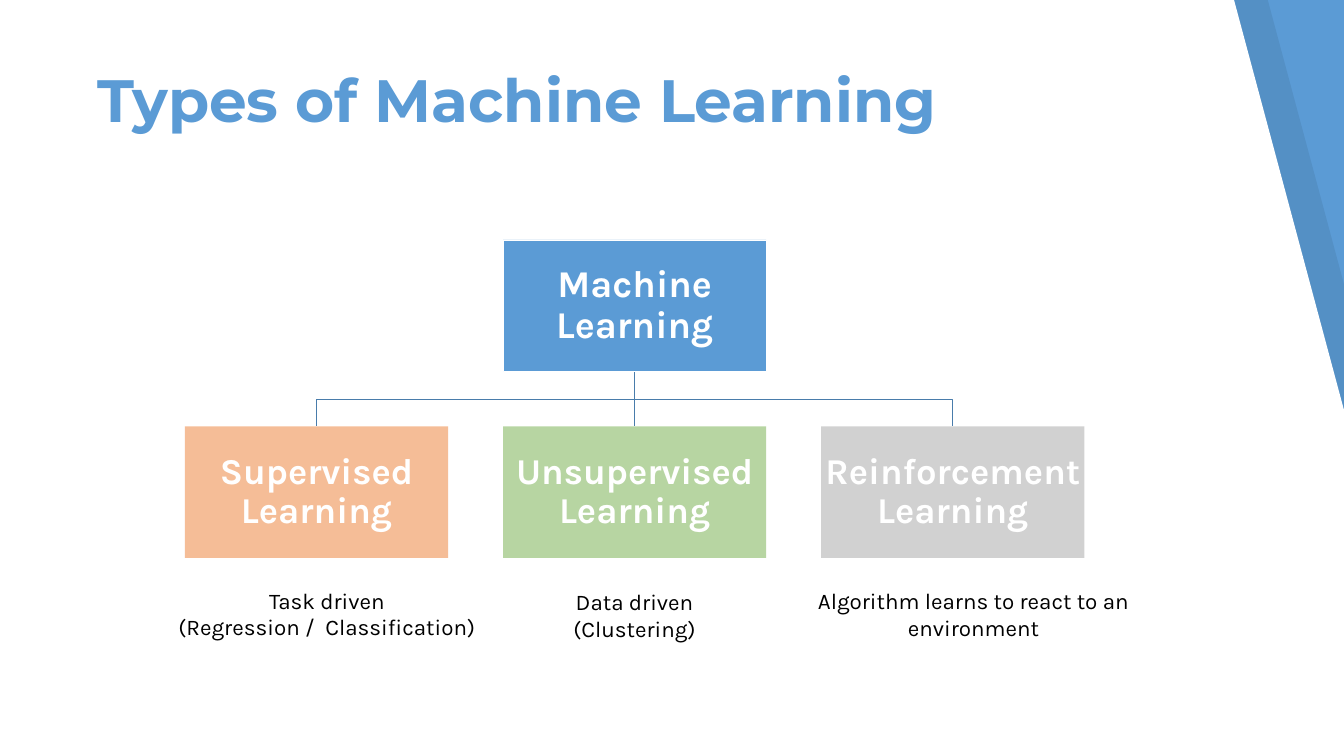
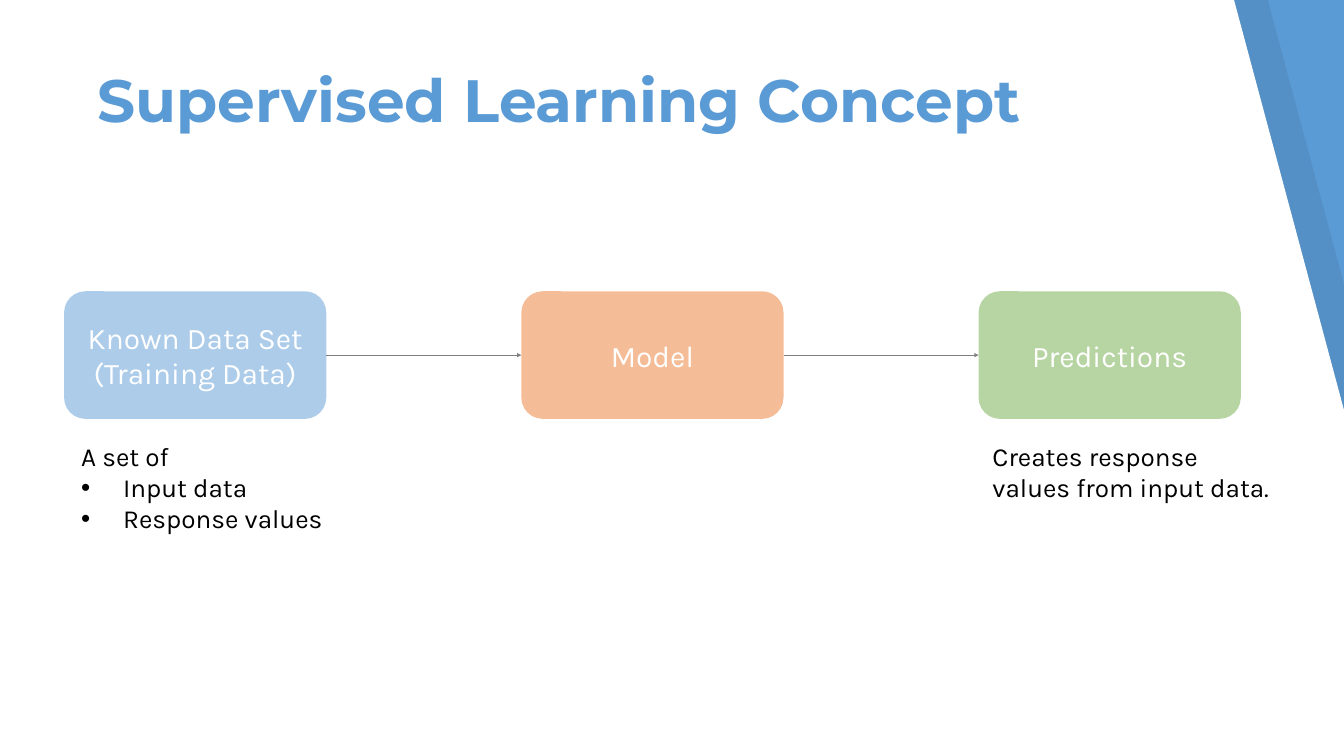
from collections import namedtuple
from dataclasses import dataclass

from lxml.etree import SubElement
from pptx import Presentation
from pptx.dml.color import RGBColor
from pptx.enum.shapes import MSO_CONNECTOR, MSO_SHAPE
from pptx.enum.text import MSO_ANCHOR, MSO_AUTO_SIZE, PP_ALIGN
from pptx.oxml.ns import qn
from pptx.util import Cm, Pt

Box = namedtuple("Box", "x y w h")


@dataclass(frozen=True)
class Theme:
    blue: str = "5B9BD5"
    orange: str = "ED7D31"
    green: str = "70AD47"
    gray: str = "A5A5A5"
    white: str = "FFFFFF"
    black: str = "000000"
    branch: str = "497CAB"
    arrow: str = "808080"
    head: str = "Montserrat"
    body: str = "Karla"
    title: float = 85.3
    root: float = 54
    leaf: float = 52
    step: float = 42.7
    note: float = 37.3
    caption: float = 32


T = Theme()
PAGE = Box(0, 0, 67.72, 38.1)
TITLE = Box(4.65, 3.43, 48.23, 5.69)
TREE = Box(9.32, 12.09, 45.32, 16.03)
FLOW = Box(3.23, 14.68, 59.29, 6.43)


def cm(box):
    return [Cm(v) for v in box]


def rgb(code):
    return RGBColor.from_string(code)


def paint(shape, color, alpha=100):
    shape.shadow.inherit = False
    shape.fill.solid()
    shape.fill.fore_color.rgb = rgb(color)
    shape.line.fill.background()
    if alpha < 100:
        tone = shape.element.spPr.find(".//" + qn("a:srgbClr"))
        SubElement(tone, qn("a:alpha"), val=str(alpha * 1000))


def style(para, size, color, face=T.body, bold=False):
    font = para.font
    font.name, font.size, font.bold = face, Pt(size), bold
    font.color.rgb = rgb(color)


def bullet(para):
    props = para._p.get_or_add_pPr()
    props.set("marL", str(Cm(2.11)))
    props.set("indent", str(-Cm(2.11)))
    SubElement(SubElement(props, qn("a:buClr")), qn("a:srgbClr"), val=T.black)
    SubElement(props, qn("a:buFont"), typeface="Arial")
    SubElement(props, qn("a:buChar"), char="•")


def write(frame, lines, size, color, align=PP_ALIGN.CENTER, bold=False, dots=False):
    """Fill a frame; with dots, every line after the first is bulleted."""
    frame.word_wrap = True
    for i, line in enumerate(lines):
        para = frame.add_paragraph() if i else frame.paragraphs[0]
        para.text = line
        para.alignment = align
        if dots and i:
            bullet(para)
        style(para, size, color, bold=bold)


def label(slide, box, lines, size, **look):
    frame = slide.shapes.add_textbox(*cm(box)).text_frame
    write(frame, lines, size, T.black, **look)


def block(slide, kind, box, lines, size, color, alpha=50, bold=False):
    shape = slide.shapes.add_shape(kind, *cm(box))
    paint(shape, color, alpha)
    frame = shape.text_frame
    frame.vertical_anchor = MSO_ANCHOR.MIDDLE
    write(frame, lines, size, T.white, bold=bold)
    return shape


def outline(slide, points, close=True):
    dots = [(Cm(x), Cm(y)) for x, y in points]
    form = slide.shapes.build_freeform(*dots[0])
    form.add_line_segments(dots[1:], close=close)
    return form.convert_to_shape()


def link(slide, start, end, color, width):
    line = slide.shapes.add_connector(
        MSO_CONNECTOR.STRAIGHT, *cm(start), *cm(end))
    line.line.color.rgb = rgb(color)
    line.line.width = Pt(width)
    SubElement(line.element.spPr, qn("a:effectLst"))
    return line


# Shared ground: white panel and its shade over blue, kept on the layout
def ground(slide, box):
    slope = 3.73
    panels = [(63.88, T.black, 7), (62.18, T.white, 100)]
    for i, (edge, color, alpha) in enumerate(panels):
        drop = (box.w - edge) * slope
        panel = outline(slide, [
            (box.x, box.y), (box.x + edge, box.y),
            (box.x + box.w, box.y + drop),
            (box.x + box.w, box.y + box.h), (box.x, box.y + box.h)])
        paint(panel, color, alpha)
        slide.slide_layout.shapes.element.insert(2 + i, panel.element)


def heading(slide, box, text):
    title = slide.shapes.title
    title.left, title.top, title.width, title.height = cm(box)
    frame = title.text_frame
    frame.auto_size = MSO_AUTO_SIZE.NONE
    frame.vertical_anchor = MSO_ANCHOR.TOP
    frame.text = text
    para = frame.paragraphs[0]
    para.alignment = PP_ALIGN.LEFT
    para.line_spacing = 0.9
    style(para, T.title, T.blue, T.head, True)


# Tree: one root over three leaves with captions
def tree(slide, box):
    wide, high = 13.26, 6.63
    step = (box.w - wide) / 2
    low = box.y + box.h - high
    mid = box.x + box.w / 2
    foot = box.y + high
    fork = (foot + low) / 2

    # Branches
    link(slide, (mid, foot), (mid, low), T.branch, 1)
    for x in (box.x + wide / 2, box.x + box.w - wide / 2):
        branch = outline(
            slide, [(mid, foot), (mid, fork), (x, fork), (x, low)], False)
        branch.shadow.inherit = False
        branch.fill.background()
        branch.line.color.rgb = rgb(T.branch)
        branch.line.width = Pt(1)

    # Nodes
    nodes = [(mid - wide / 2, box.y, "Machine Learning", T.root, T.blue, 100)]
    leaves = [("Supervised", T.orange), ("Unsupervised", T.green),
              ("Reinforcement", T.gray)]
    nodes += [(box.x + i * step, low, name + " Learning", T.leaf, color, 50)
              for i, (name, color) in enumerate(leaves)]
    for x, y, text, size, color, alpha in nodes:
        node = block(slide, MSO_SHAPE.RECTANGLE, Box(x, y, wide, high),
                     [text], size, color, alpha, True)
        frame = node.text_frame
        frame.margin_left = frame.margin_right = Cm(0.1)
        frame.margin_top = frame.margin_bottom = Cm(0.1)
        frame.paragraphs[0].line_spacing = 0.9
        if alpha == 100:
            node.line.color.rgb = rgb(T.white)
            node.line.width = Pt(1)

    # Captions
    notes = [
        (-1.19, 1.32, 16.69, ["Task driven\v(Regression /  Classification)"]),
        (1.42, 1.39, 10.41, ["Data driven", "(Clustering)"]),
        (-1.1, 1.34, 17.55, ["Algorithm learns to react to an", "environment"]),
    ]
    for i, (dx, dy, w, lines) in enumerate(notes):
        spot = Box(box.x + i * step + dx, box.y + box.h + dy, w, 3)
        label(slide, spot, lines, T.caption)


# Flow: three steps joined by arrows, with notes under the ends
def flow(slide, box):
    wide = 13.21
    step = (box.w - wide) / 2
    steps = [(["Known Data Set", "(Training Data)"], T.blue),
             (["Model"], T.orange), (["Predictions"], T.green)]
    for i, (lines, color) in enumerate(steps):
        x = box.x + i * step
        block(slide, MSO_SHAPE.ROUNDED_RECTANGLE,
              Box(x, box.y, wide, box.h), lines, T.step, color)
        if i:
            y = box.y + box.h / 2
            arrow = link(slide, (x - step + wide, y), (x, y), T.arrow, 0.5)
            SubElement(arrow.line._get_or_add_ln(), qn("a:tailEnd"),
                       type="triangle")

    # Notes
    y = box.y + box.h + 0.94
    label(slide, Box(box.x + 0.61, y, 16.36, 5.05),
          ["A set of", "Input data", "Response values"], T.note,
          align=PP_ALIGN.LEFT, dots=True)
    label(slide, Box(box.x + 2 * step + 0.45, y, 14.78, 3.45),
          ["Creates response values from input data."], T.note,
          align=PP_ALIGN.LEFT)


def main():
    deck = Presentation()
    deck.slide_width, deck.slide_height = Cm(PAGE.w), Cm(PAGE.h)
    back = deck.slide_master.background.fill
    back.solid()
    back.fore_color.rgb = rgb(T.blue)
    pages = [("Types of Machine Learning", tree, TREE),
             ("Supervised Learning Concept", flow, FLOW)]
    for i, (text, draw, box) in enumerate(pages):
        slide = deck.slides.add_slide(deck.slide_layouts[5])
        if i == 0:
            ground(slide, PAGE)
        heading(slide, TITLE, text)
        draw(slide, box)
    deck.save("out.pptx")


if __name__ == "__main__":
    main()
